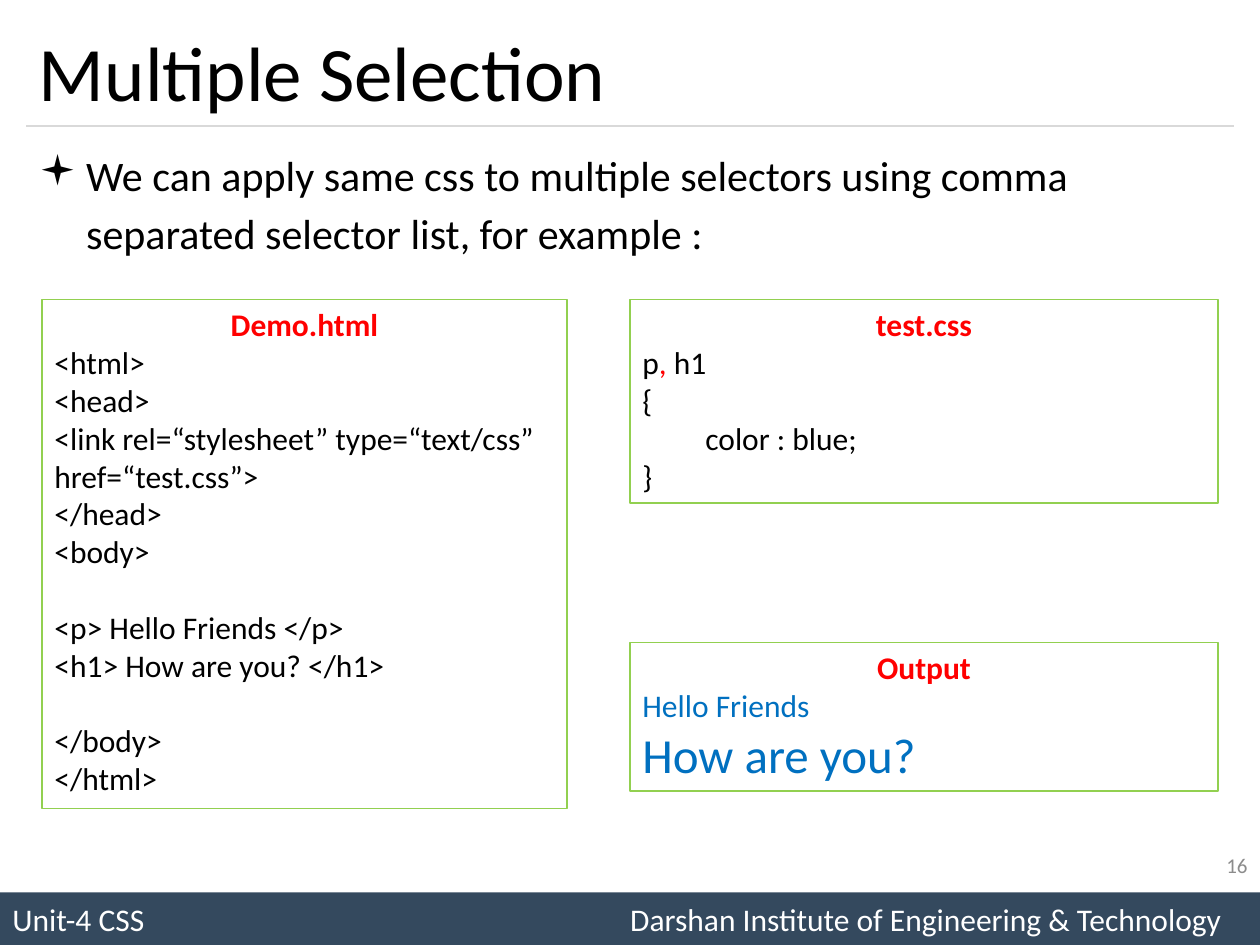
from lxml import etree
from pptx import Presentation
from pptx.dml.color import RGBColor
from pptx.enum.shapes import MSO_CONNECTOR, MSO_SHAPE
from pptx.enum.text import MSO_ANCHOR, MSO_AUTO_SIZE, PP_ALIGN
from pptx.oxml.ns import qn
from pptx.util import Pt

LEFT, CENTER, RIGHT = PP_ALIGN.LEFT, PP_ALIGN.CENTER, PP_ALIGN.RIGHT
TOP, MIDDLE = MSO_ANCHOR.TOP, MSO_ANCHOR.MIDDLE
NO_FIT, GROW = MSO_AUTO_SIZE.NONE, MSO_AUTO_SIZE.SHAPE_TO_FIT_TEXT
STRAIGHT, RECTANGLE = MSO_CONNECTOR.STRAIGHT, MSO_SHAPE.RECTANGLE

FONT = "Calibri"
BLACK, WHITE, RED, BLUE = "000000", "FFFFFF", "FF0000", "0070C0"
GREEN, NAVY, GRAY, RULE = "92D050", "34495E", "8C8C8C", "D9D9D9"
WIDTH, HEIGHT = 720, 540
MARGIN, HEADER_BOTTOM, BAR_TOP = 15, 72, 510
CODE_SIZE, CODE_LINE = 18, 21.6

TITLE = "Multiple Selection"
BODY = "We can apply same css to multiple selectors using comma separated selector list, for example :"
FOOTER = "Unit-4 CSS\tDarshan Institute of Engineering & Technology"
PAGE = "16"

PANELS = [
    {"heading": "Demo.html", "place": (24, 171, 300, 291), "gaps": (6, 8), "lines": [
        [("<html>", BLACK, CODE_SIZE)],
        [("<head>", BLACK, CODE_SIZE)],
        [("<link rel=“stylesheet” type=“text/css” href=“test.css”>", BLACK, CODE_SIZE)],
        [("</head>", BLACK, CODE_SIZE)],
        [("<body>", BLACK, CODE_SIZE)],
        [("<p> Hello Friends </p>", BLACK, CODE_SIZE)],
        [("<h1> How are you? </h1>", BLACK, CODE_SIZE)],
        [("</body>", BLACK, CODE_SIZE)],
        [("</html>", BLACK, CODE_SIZE)],
    ]},
    {"heading": "test.css", "place": (360, 171, 336, 116.5), "gaps": (), "lines": [
        [("p", BLACK, CODE_SIZE), (",", RED, CODE_SIZE), (" h1", BLACK, CODE_SIZE)],
        [("{", BLACK, CODE_SIZE)],
        [("\tcolor : blue;", BLACK, CODE_SIZE)],
        [("}", BLACK, CODE_SIZE)],
    ]},
    {"heading": "Output", "place": (360, 367, 336, 85), "gaps": (), "lines": [
        [("Hello Friends", BLUE, CODE_SIZE)],
        [("How are you?", BLUE, 28)],
    ]},
]


def color(value):
    return RGBColor.from_string(value)


def style(font, size, value, bold=False):
    font.name, font.size, font.bold = FONT, Pt(size), bold
    font.color.rgb = color(value)


def place(shape, left, top, width, height):
    shape.left, shape.top = Pt(left), Pt(top)
    shape.width, shape.height = Pt(width), Pt(height)


def write(shape, text, size, value, align=LEFT, anchor=MIDDLE):
    frame = shape.text_frame
    frame.word_wrap, frame.auto_size = True, NO_FIT
    frame.vertical_anchor = anchor
    frame.text = text
    paragraph = frame.paragraphs[0]
    paragraph.alignment = align
    style(paragraph.runs[0].font, size, value)
    return paragraph


def add_child(parent, tag, **attributes):
    return etree.SubElement(parent, qn(tag), attributes)


def add_bar(slide):
    bar = slide.shapes.add_shape(RECTANGLE, 0, Pt(BAR_TOP), Pt(WIDTH), Pt(HEIGHT - BAR_TOP))
    bar.shadow.inherit = False
    bar.fill.solid()
    bar.fill.fore_color.rgb = color(NAVY)
    bar.line.fill.background()
    paragraph = write(bar, FOOTER, 18, WHITE)
    tabs = add_child(paragraph._p.get_or_add_pPr(), "a:tabLst")
    add_child(tabs, "a:tab", pos=str(Pt(691)), algn="r")


def add_rule(slide):
    rule = slide.shapes.add_connector(
        STRAIGHT, Pt(MARGIN), Pt(HEADER_BOTTOM), Pt(WIDTH - MARGIN), Pt(HEADER_BOTTOM))
    rule.line.color.rgb = color(RULE)
    rule.line.width = Pt(0.75)
    add_child(rule._element.spPr, "a:effectLst")


def fill_placeholders(slide):
    title, body = slide.shapes.title, slide.placeholders[1]
    place(title, MARGIN, 9, WIDTH - 2 * MARGIN, HEADER_BOTTOM - 9)
    write(title, TITLE, 44, BLACK)
    place(body, MARGIN, 78, WIDTH - 2 * MARGIN, 84)
    paragraph = write(body, BODY, 24, BLACK, anchor=TOP)
    paragraph.line_spacing = 1.14
    paragraph.space_before = Pt(0)
    properties = paragraph._p.get_or_add_pPr()
    properties.set("marL", str(Pt(27)))
    properties.set("indent", str(Pt(-27)))
    add_child(properties, "a:buFont", typeface="Wingdings")
    add_child(properties, "a:buChar", char="▪")


def add_panel(slide, panel):
    box = slide.shapes.add_textbox(*map(Pt, panel["place"]))
    box.line.color.rgb = color(GREEN)
    box.line.width = Pt(0.75)
    heading = write(box, panel["heading"], CODE_SIZE, RED, CENTER, TOP)
    heading.runs[0].font.bold = True
    box.text_frame.auto_size = GROW
    for number, line in enumerate(panel["lines"], start=1):
        paragraph = box.text_frame.add_paragraph()
        paragraph.alignment = LEFT
        if number in panel["gaps"]:
            paragraph.space_before = Pt(CODE_LINE)
        for text, value, size in line:
            run = paragraph.add_run()
            run.text = text
            style(run.font, size, value)


def main():
    presentation = Presentation()
    presentation.slide_width, presentation.slide_height = Pt(WIDTH), Pt(HEIGHT)
    slide = presentation.slides.add_slide(presentation.slide_layouts[1])
    add_bar(slide)
    add_rule(slide)
    fill_placeholders(slide)
    for panel in PANELS:
        add_panel(slide, panel)
    page = slide.shapes.add_textbox(Pt(552), Pt(480), Pt(168), Pt(29))
    write(page, PAGE, 12, GRAY, RIGHT)
    presentation.save("out.pptx")


if __name__ == "__main__":
    main()
